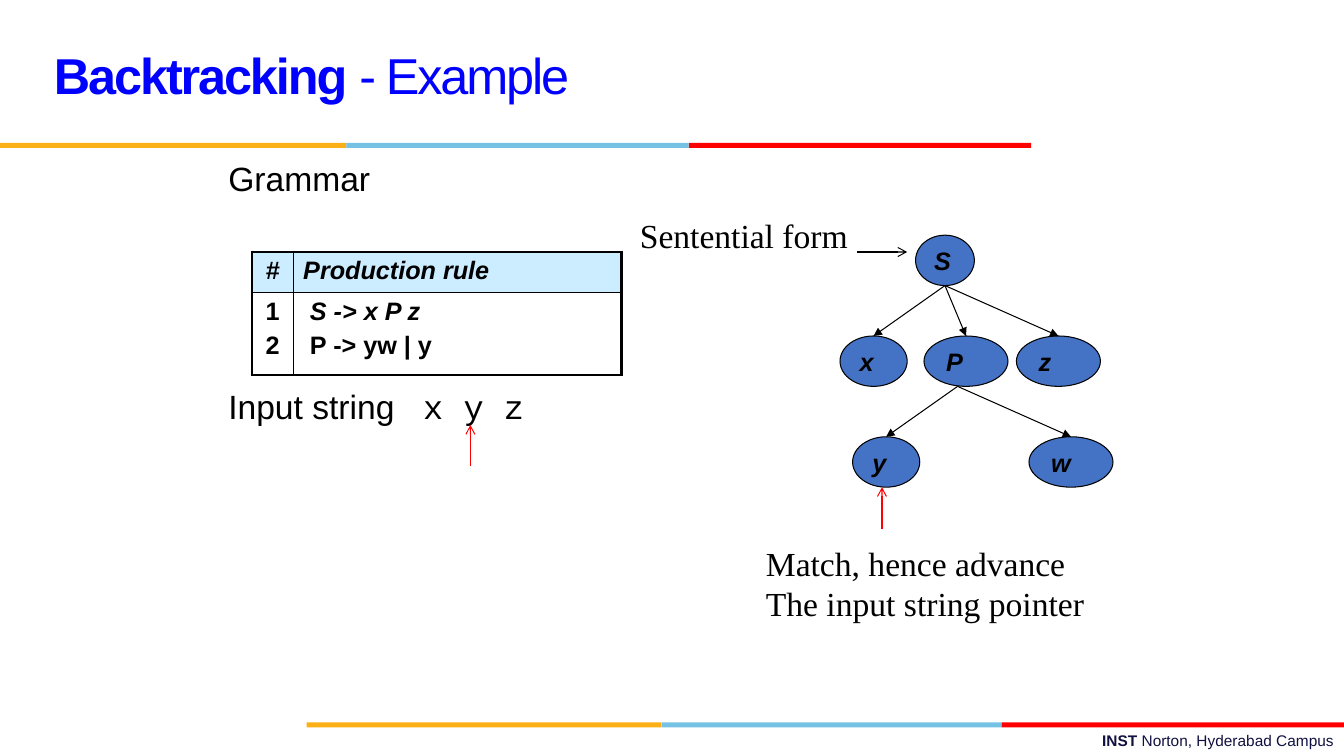
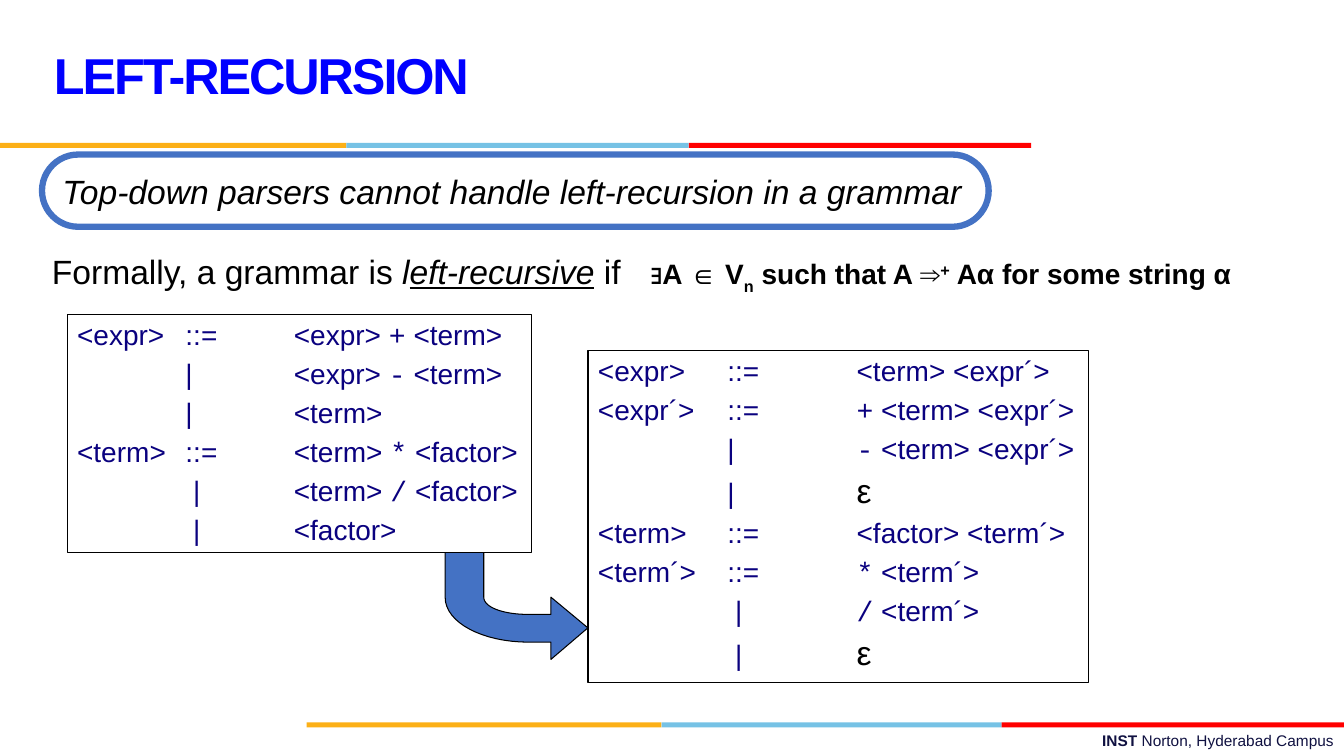
"""Build two slides on backtracking and left-recursion in top-down parsing."""

from dataclasses import dataclass
from itertools import groupby

from lxml import etree
from pptx import Presentation
from pptx.dml.color import RGBColor
from pptx.enum.shapes import MSO_CONNECTOR, MSO_SHAPE
from pptx.enum.text import MSO_ANCHOR, PP_ALIGN
from pptx.oxml.ns import qn
from pptx.util import Emu, Pt

RECT, OVAL, ROUNDED = MSO_SHAPE.RECTANGLE, MSO_SHAPE.OVAL, MSO_SHAPE.ROUNDED_RECTANGLE
STRAIGHT = MSO_CONNECTOR.STRAIGHT
LEFT, CENTER, RIGHT = PP_ALIGN.LEFT, PP_ALIGN.CENTER, PP_ALIGN.RIGHT
TOP, MIDDLE = MSO_ANCHOR.TOP, MSO_ANCHOR.MIDDLE

COLUMNS, ROWS = 160, 90
SLIDE_WIDTH, SLIDE_HEIGHT = Emu(12192000), Emu(6858000)
CELL = SLIDE_WIDTH // COLUMNS


@dataclass(frozen=True)
class Theme:
    """Colours, fonts and type sizes."""

    sans: str = "Arial"
    serif: str = "Times New Roman"
    mono: str = "Courier New"
    black: str = "000000"
    white: str = "FFFFFF"
    title: str = "0000FF"
    footer: str = "101141"
    grammar: str = "0A017F"
    accent: str = "4472C4"
    pointer: str = "FF0000"
    header: str = "CCECFF"
    bands: tuple = ("FCB017", "76C2E5", "FF0000")
    title_size: int = 36
    body_size: int = 24
    rule_size: int = 20
    node_size: int = 18
    footer_size: int = 11
    thin: float = 0.75
    inner: float = 1
    outer: float = 2.25
    thick: float = 4.5


THEME = Theme()


@dataclass(frozen=True)
class Span:
    """A stretch of text in one style."""

    text: str
    size: int = THEME.body_size
    color: str = THEME.black
    font: str = THEME.sans
    bold: bool = False
    italic: bool = False
    underline: bool = False
    baseline: int = 0
    spacing: int = 0


def grid(*values):
    """Turn grid units into lengths."""
    return [Emu(round(value * CELL)) for value in values]


def rgb(color):
    """Turn a hex string into a colour."""
    return RGBColor.from_string(color)


def write(frame, lines, align=LEFT, anchor=TOP, wrap=True, gap=0, leading=None, tabs=()):
    """Fill a text frame with lines of spans."""
    frame.word_wrap = wrap
    frame.vertical_anchor = anchor
    for index, line in enumerate(lines):
        para = frame.add_paragraph() if index else frame.paragraphs[0]
        para.alignment = align
        para.space_before = Pt(gap if index else 0)
        if leading:
            para.line_spacing = leading
        if tabs:
            stops = etree.SubElement(para._p.get_or_add_pPr(), qn("a:tabLst"))
            for position in grid(*tabs):
                etree.SubElement(stops, qn("a:tab"), pos=str(position), algn="l")
        for span in line:
            run = para.add_run()
            run.text = span.text
            font = run.font
            font.name, font.size = span.font, Pt(span.size)
            font.bold, font.italic, font.underline = span.bold, span.italic, span.underline
            font.color.rgb = rgb(span.color)
            properties = run._r.get_or_add_rPr()
            if span.baseline:
                properties.set("baseline", str(span.baseline * 1000))
            if span.spacing:
                properties.set("spc", str(span.spacing))


def add_text(page, box, lines, **layout):
    """Add a text box."""
    write(page.shapes.add_textbox(*grid(*box)).text_frame, lines, **layout)


def paint(shape, fill, line=None, weight=THEME.thin):
    """Set fill and outline and drop the shadow."""
    shape.shadow.inherit = False
    shape.fill.solid()
    shape.fill.fore_color.rgb = rgb(fill)
    if line:
        shape.line.color.rgb = rgb(line)
        shape.line.width = Pt(weight)
    else:
        shape.line.fill.background()


def add_box(page, kind, box, fill, line=None, weight=THEME.thin):
    """Add a painted preset shape."""
    shape = page.shapes.add_shape(kind, *grid(*box))
    paint(shape, fill, line, weight)
    return shape


def add_arrow(page, start, end, color=THEME.black, head="arrow"):
    """Add a straight arrow."""
    arrow = page.shapes.add_connector(STRAIGHT, *grid(*start, *end))
    arrow.line.color.rgb = rgb(color)
    arrow.line.width = Pt(THEME.thin)
    etree.SubElement(arrow.line._get_or_add_ln(), qn("a:tailEnd"), type=head)
    etree.SubElement(arrow._element.spPr, qn("a:effectLst"))


def add_band(page, top, edges):
    """Add a three-colour band between the given column edges."""
    for color, left, right in zip(THEME.bands, edges, edges[1:]):
        add_box(page, RECT, (left, top, right - left, 0.6), color)


def add_page(deck, *title):
    """Add a page with title, bands and footer."""
    page = deck.slides.add_slide(deck.slide_layouts[6])
    add_band(page, 86, (36.5, 78.75, 119.25, COLUMNS))
    add_band(page, 17, (0, 41.25, 82, 122.75))
    footer = [
        Span(text, THEME.footer_size, THEME.footer, bold=bold)
        for text, bold in (("INST ", True), ("Norton, Hyderabad Campus", False))
    ]
    add_text(page, (57.3, 86.5, 102.7, 3.5), [footer], align=RIGHT)
    heading = [
        Span(text, THEME.title_size, THEME.title, bold=bold, spacing=-150)
        for text, bold in title
    ]
    add_text(page, (5.25, 2, 110.75, 15), [heading], anchor=MIDDLE,
             leading=Pt(THEME.title_size))
    return page


def set_borders(cell, weights):
    """Draw the left, right, top and bottom borders of a cell."""
    properties = cell._tc.get_or_add_tcPr()
    for index, (side, weight) in enumerate(zip("LRTB", weights)):
        border = etree.Element(qn(f"a:ln{side}"), w=str(Pt(weight)))
        fill = etree.SubElement(border, qn("a:solidFill"))
        etree.SubElement(fill, qn("a:srgbClr"), val=THEME.black)
        properties.insert(index, border)


def add_rule_table(page, corner, widths, heights, content):
    """Add the table of production rules."""
    size = (sum(widths), sum(heights))
    table = page.shapes.add_table(len(heights), len(widths), *grid(*corner, *size)).table
    for column, width in zip(table.columns, grid(*widths)):
        column.width = width
    for row, height in zip(table.rows, grid(*heights)):
        row.height = height
    last_row, last_column = len(heights) - 1, len(widths) - 1
    for r, row in enumerate(content):
        for c, lines in enumerate(row):
            cell = table.cell(r, c)
            spans = [[Span(text, THEME.node_size, bold=True, italic=italic)]
                     for text, italic in lines]
            write(cell.text_frame, spans, align=LEFT if c else CENTER, gap=4.4)
            if r:
                cell.fill.background()
            else:
                cell.fill.solid()
                cell.fill.fore_color.rgb = rgb(THEME.header)
            if r and c:
                cell.margin_left = grid(2)[0]
            on_edge = (c == 0, c == last_column, r == 0, r == last_row)
            set_borders(cell, [THEME.outer if edge else THEME.inner for edge in on_edge])


def add_node(page, label, left, top, width):
    """Add a node of the parse tree."""
    node = add_box(page, OVAL, (left, top, width, 6), THEME.accent, THEME.black)
    span = Span(label, THEME.node_size, bold=True, italic=True)
    write(node.text_frame, [[span]], anchor=MIDDLE, wrap=False)


def add_tree(page, nodes, branches):
    """Add nodes and the arrows from each branching point to its children."""
    for label, place in nodes.items():
        add_node(page, label, *place)
    for start, children in branches:
        for child in children:
            left, top, width = nodes[child]
            add_arrow(page, start, (left + width / 2, top), head="triangle")


def grammar_spans(line):
    """Split a grammar line into names, operators and empty strings."""
    def kind(char):
        return "operator" if char in "+-*/" else "empty" if char == "ε" else "name"

    styles = {
        "operator": (THEME.rule_size, THEME.grammar, THEME.mono),
        "empty": (THEME.body_size, THEME.black, THEME.sans),
        "name": (THEME.rule_size, THEME.grammar, THEME.sans),
    }
    return [Span("".join(chars), *styles[key]) for key, chars in groupby(line, kind)]


def add_grammar(page, box, tab, lines):
    """Add a framed grammar set on equal tab stops."""
    frame = add_box(page, RECT, box, THEME.white, THEME.black).text_frame
    write(frame, [grammar_spans(line) for line in lines], gap=5, leading=0.95,
          tabs=(tab, 2 * tab))


def bezier(start, first, second, end, steps=16):
    """Return points along a cubic curve after its start."""
    points = []
    for step in range(1, steps + 1):
        t = step / steps
        weights = ((1 - t) ** 3, 3 * t * (1 - t) ** 2, 3 * t * t * (1 - t), t ** 3)
        points.append(tuple(sum(w * p for w, p in zip(weights, axis))
                            for axis in zip(start, first, second, end)))
    return points


def add_bent_arrow(page):
    """Add the curved block arrow between the grammars."""
    outer = bezier((62.9, 76.45), (57.5, 76.45), (53, 74.15), (53, 71.1))
    inner = bezier((57.6, 71.1), (57.6, 72.3), (59.9, 73.15), (62.9, 73.15))
    outline = [(70, 74.75), (65.6, 78.5), (65.6, 76.45), (62.9, 76.45), *outer,
               (53, 65.5), (57.6, 65.5), (57.6, 71.1), *inner,
               (65.6, 73.15), (65.6, 71.1)]
    start, *points = [grid(*point) for point in outline]
    builder = page.shapes.build_freeform(*start)
    builder.add_line_segments(points, close=True)
    paint(builder.convert_to_shape(), THEME.accent, THEME.black)


def build_backtracking(deck):
    """Build the backtracking example."""
    page = add_page(deck, ("Backtracking ", True), ("- Example", False))
    add_text(page, (26, 18.25, 45, 6), [[Span("Grammar")]])
    add_text(page, (26, 45.4, 45, 6),
             [[Span("Input string\t"), Span("x y z", font=THEME.mono)]], tabs=(23.2,))
    add_rule_table(page, (30, 30), (4.9, 39.1), (4.85, 9.8), [
        [[("#", True)], [("Production rule", True)]],
        [[("1", False), ("2", False)], [("S -> x P z", True), ("P -> yw | y", False)]],
    ])
    nodes = {"S": (109, 28, 7), "x": (100, 40, 8), "P": (110, 40, 10),
             "z": (121, 40, 10), "y": (101.5, 52, 8), "w": (122.5, 52, 10)}
    add_tree(page, nodes, [((112.5, 34), "xPz"), ((114, 46), "yw")])
    add_arrow(page, (102, 30), (108, 30))
    for column, bottom, tip in ((56, 55.5, 50.6), (105, 63, 58)):
        add_arrow(page, (column, bottom), (column, tip), THEME.pointer)
    add_text(page, (75, 25, 30, 6), [[Span("Sentential form", font=THEME.serif)]])
    match = ("Match, hence advance", "The input string pointer")
    add_text(page, (90, 64, 45, 11), [[Span(text, font=THEME.serif)] for text in match])


def build_left_recursion(deck):
    """Build the left-recursion page."""
    page = add_page(deck, ("LEFT-RECURSION", True))
    banner = add_box(page, ROUNDED, (5, 18.4, 112.7, 8.6), THEME.white, THEME.accent,
                     THEME.thick)
    banner.adjustments[0] = 0.5
    message = "Top-down parsers cannot handle left-recursion in a grammar"
    write(banner.text_frame, [[Span(message, italic=True)]], anchor=MIDDLE)
    add_text(page, (5, 29.25, 72, 6), [[
        Span("Formally, a grammar is "), Span("l", italic=True),
        Span("eft-recursive", italic=True, underline=True), Span(" if")]])
    condition = (("∃A ∈ V", 0), ("n", -25), (" such that A ⇒", 0), ("+", 30),
                 (" Aα for some string α", 0))
    add_text(page, (76.25, 30, 80, 5.25), [[
        Span(text, THEME.rule_size, bold=True, baseline=shift)
        for text, shift in condition]])
    add_grammar(page, (70, 41.75, 59.6, 39.5), 15.4, [
        "<expr>\t::=\t<term> <expr´>", "<expr´>\t::=\t+ <term> <expr´>",
        "\t|\t- <term> <expr´>", "\t|\tε", "<term>\t::=\t<factor> <term´>",
        "<term´>\t::=\t* <term´>", "\t |\t/ <term´>", "\t |\tε"])
    add_bent_arrow(page)
    add_grammar(page, (8, 37.5, 55.3, 28.3), 12.9, [
        "<expr>\t::=\t<expr> + <term>", "\t|\t<expr> - <term>", "\t|\t<term>",
        "<term>\t::=\t<term> * <factor>", "\t |\t<term> / <factor>", "\t |\t<factor>"])


def main():
    """Build and save the deck."""
    deck = Presentation()
    deck.slide_width, deck.slide_height = SLIDE_WIDTH, SLIDE_HEIGHT
    build_backtracking(deck)
    build_left_recursion(deck)
    deck.save("out.pptx")


if __name__ == "__main__":
    main()
